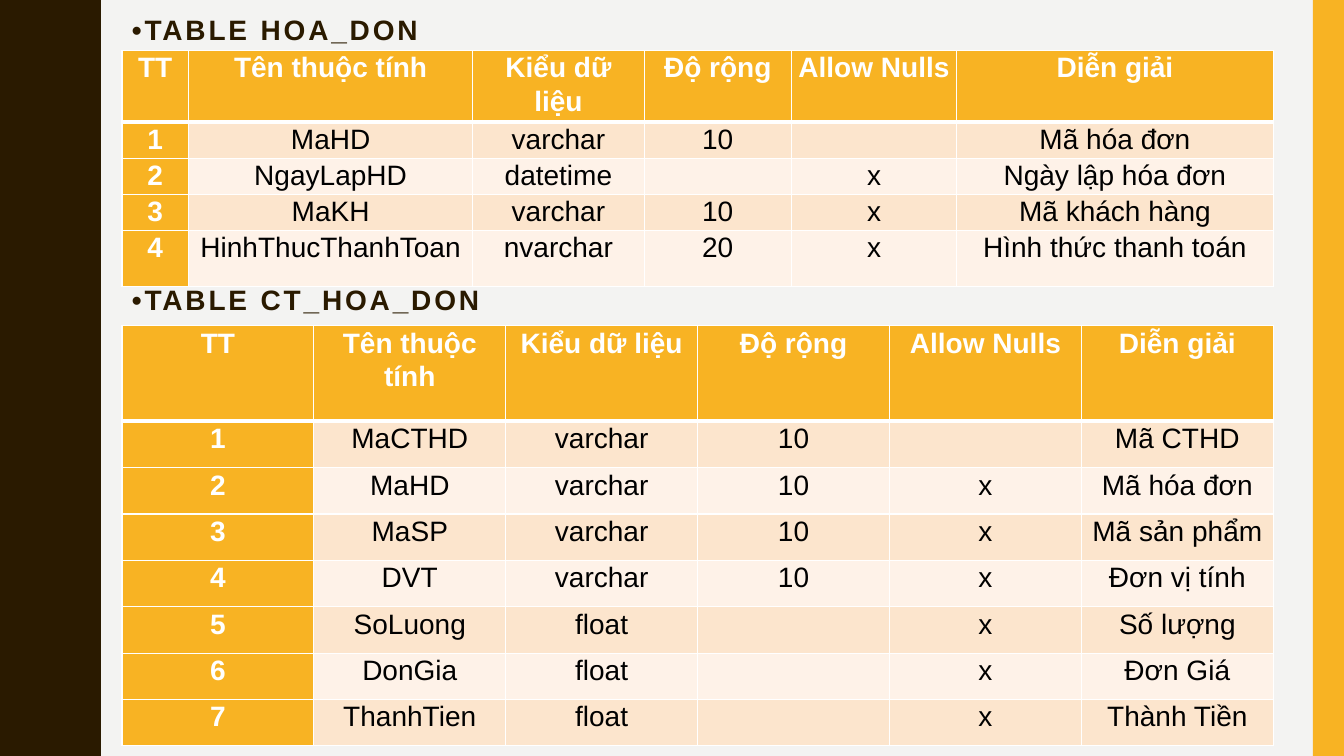
from math import cos, pi

from lxml.etree import SubElement
from pptx import Presentation
from pptx.dml.color import RGBColor
from pptx.enum.shapes import MSO_SHAPE
from pptx.enum.text import MSO_ANCHOR, PP_ALIGN
from pptx.oxml.ns import qn
from pptx.util import Inches, Pt

WIDTH, HEIGHT = 13.33, 7.5
LEFT, CONTENT_WIDTH = 1.21, 11.42
COLORS = {
    "background": "F3F3F2",
    "wave": "2A1A00",
    "accent": "F8B323",
    "odd": "FCE5CD",
    "even": "FEF2E8",
    "white": "FFFFFF",
    "black": "000000",
}
HEADINGS = ["TT", "Tên thuộc tính", "Kiểu dữ liệu", "Độ rộng", "Allow Nulls", "Diễn giải"]
INVOICE_FIELDS = [
    ["MaHD", "varchar", "10", "", "Mã hóa đơn"],
    ["NgayLapHD", "datetime", "", "x", "Ngày lập hóa đơn"],
    ["MaKH", "varchar", "10", "x", "Mã khách hàng"],
    ["HinhThucThanhToan", "nvarchar", "20", "x", "Hình thức thanh toán"],
]
DETAIL_FIELDS = [
    ["MaCTHD", "varchar", "10", "", "Mã CTHD"],
    ["MaHD", "varchar", "10", "x", "Mã hóa đơn"],
    ["MaSP", "varchar", "10", "x", "Mã sản phẩm"],
    ["DVT", "varchar", "10", "x", "Đơn vị tính"],
    ["SoLuong", "float", "", "x", "Số lượng"],
    ["DonGia", "float", "", "x", "Đơn Giá"],
    ["ThanhTien", "float", "", "x", "Thành Tiền"],
]


def rgb(role):
    return RGBColor.from_string(COLORS[role])


def apply(target, values):
    for name, value in values.items():
        setattr(target, name, value)


def paint(shape, role):
    shape.shadow.inherit = False
    shape.fill.solid()
    shape.fill.fore_color.rgb = rgb(role)
    shape.line.fill.background()


def write(paragraph, text, role, bold, spacing):
    paragraph.line_spacing = spacing
    run = paragraph.add_run()
    run.text = text
    apply(run.font, {"name": "Arial", "size": Pt(20), "bold": bold})
    run.font.color.rgb = rgb(role)
    return run


def add_wave(slide, middle, amplitude, period, steps):
    edge = [
        (middle - amplitude * cos(2 * pi * y / period), y)
        for y in (HEIGHT * step / steps for step in range(steps + 1))
    ]
    outline = slide.shapes.build_freeform(0, 0, scale=Inches(1))
    outline.add_line_segments(edge + [(0, HEIGHT)], close=True)
    paint(outline.convert_to_shape(), "wave")


def add_side_band(slide, left, top, width, height):
    band = slide.shapes.add_shape(
        MSO_SHAPE.RECTANGLE, Inches(left), Inches(top), Inches(width), Inches(height)
    )
    paint(band, "accent")


def add_heading(slide, text, left, top, width, height):
    heading = slide.shapes.add_textbox(Inches(left), Inches(top), Inches(width), Inches(height))
    apply(heading.text_frame, {"word_wrap": True, "vertical_anchor": MSO_ANCHOR.TOP})
    run = write(heading.text_frame.paragraphs[0], text, "wave", True, 0.9)
    run.font._element.set("spc", "200")


def add_border(cell, side, points):
    properties = cell._tc.get_or_add_tcPr()
    border = SubElement(properties, qn(f"a:ln{side}"), w=str(Pt(points)))
    fill = SubElement(border, qn("a:solidFill"))
    SubElement(fill, qn("a:srgbClr"), val=COLORS["white"])


def fill_cell(cell, text, row, column):
    thick = {(0, "B"), (1, "T")}
    for side in "LRTB":
        add_border(cell, side, 3 if (row, side) in thick else 1)
    labelled = row == 0 or column == 0
    cell.fill.solid()
    cell.fill.fore_color.rgb = rgb("accent" if labelled else "odd" if row % 2 else "even")
    apply(cell, {
        "margin_left": Inches(0.07),
        "margin_right": Inches(0.07),
        "margin_top": 0,
        "margin_bottom": 0,
        "vertical_anchor": MSO_ANCHOR.TOP,
    })
    paragraph = cell.text_frame.paragraphs[0]
    paragraph.alignment = PP_ALIGN.CENTER
    if text:
        write(paragraph, text, "white" if labelled else "black", labelled, 1.07)


def add_field_table(slide, fields, left, top, width, columns, rows):
    records = [HEADINGS] + [[str(number), *field] for number, field in enumerate(fields, 1)]
    table = slide.shapes.add_table(
        len(rows), len(columns), Inches(left), Inches(top), Inches(width), Inches(sum(rows))
    ).table
    for column, share in zip(table.columns, columns):
        column.width = Inches(width * share / sum(columns))
    for row, height in zip(table.rows, rows):
        row.height = Inches(height)
    for row, record in enumerate(records):
        for column, text in enumerate(record):
            fill_cell(table.cell(row, column), text, row, column)


def main():
    presentation = Presentation()
    apply(presentation, {"slide_width": Inches(WIDTH), "slide_height": Inches(HEIGHT)})
    slide = presentation.slides.add_slide(presentation.slide_layouts[6])
    slide.background.fill.solid()
    slide.background.fill.fore_color.rgb = rgb("background")

    add_wave(slide, 0.875, 0.095, HEIGHT / 5, 120)
    add_side_band(slide, WIDTH - 0.31, 0, 0.31, HEIGHT)
    add_heading(slide, "•TABLE HOA_DON", LEFT, 0.11, CONTENT_WIDTH, 0.39)
    add_heading(slide, "•TABLE CT_HOA_DON", LEFT, 2.79, CONTENT_WIDTH, 0.43)
    add_field_table(
        slide, INVOICE_FIELDS, LEFT, 0.5, CONTENT_WIDTH,
        [0.66, 2.82, 1.7, 1.46, 1.64, 3.14], [0.66] + [0.33] * 3 + [0.56],
    )
    add_field_table(
        slide, DETAIL_FIELDS, LEFT, 3.23, CONTENT_WIDTH,
        [1] * len(HEADINGS), [0.95] + [0.46] * len(DETAIL_FIELDS),
    )
    presentation.save("out.pptx")


if __name__ == "__main__":
    main()
